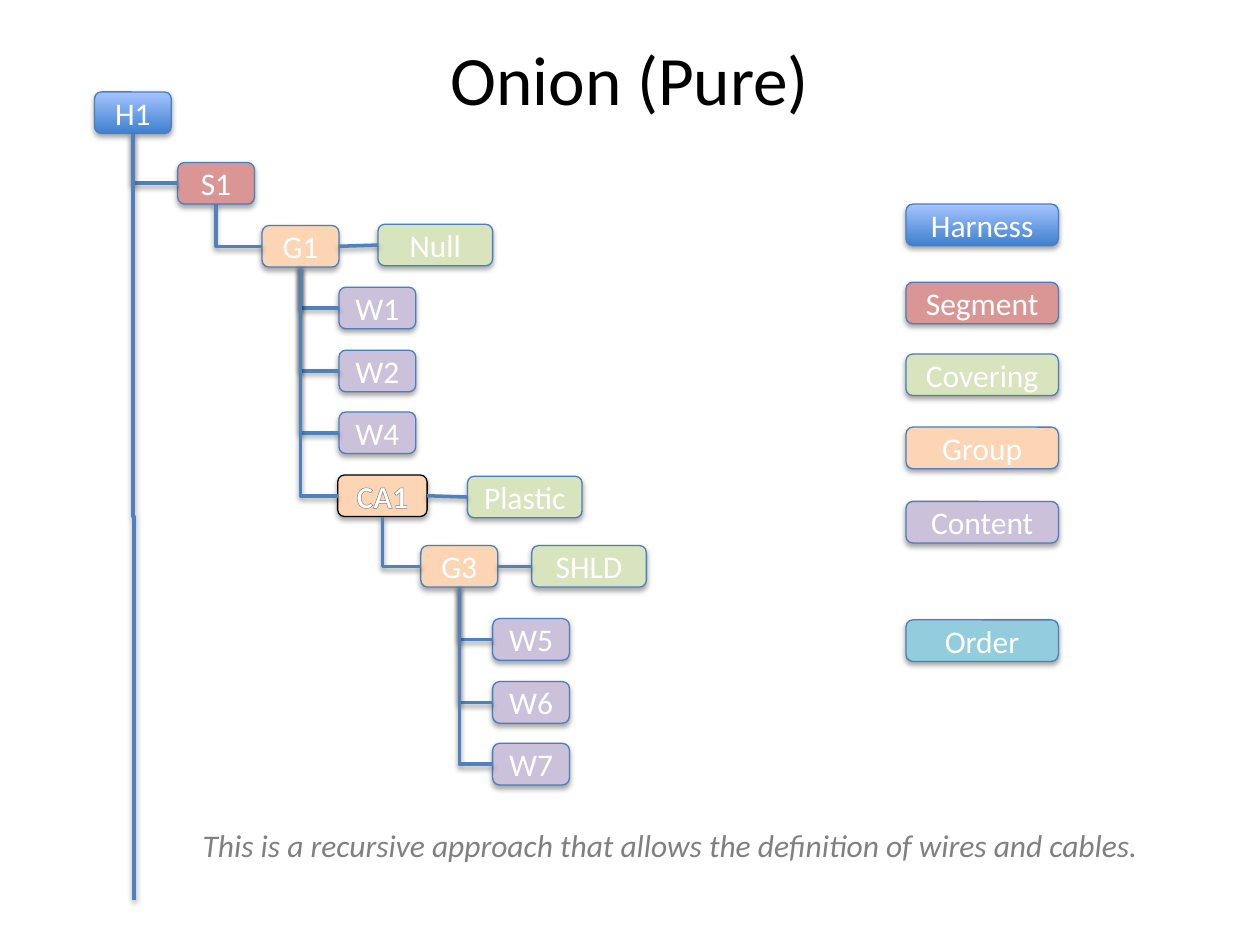
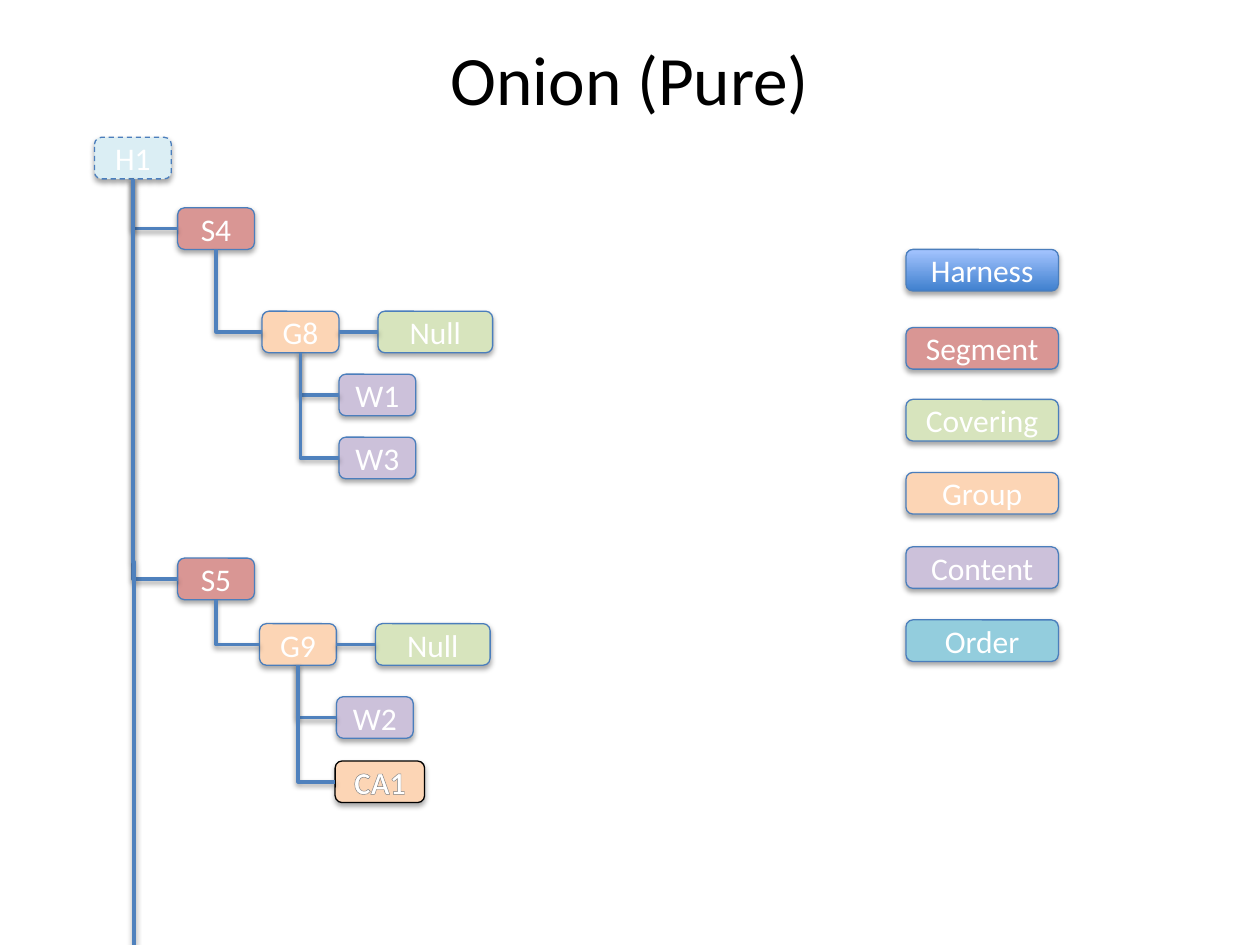
from lxml import etree
from pptx import Presentation
from pptx.dml.color import RGBColor
from pptx.enum.dml import MSO_LINE
from pptx.enum.shapes import MSO_CONNECTOR, MSO_SHAPE
from pptx.enum.text import MSO_ANCHOR, PP_ALIGN
from pptx.oxml import parse_xml
from pptx.oxml.ns import nsdecls, qn
from pptx.util import Inches, Pt

ROUNDED = MSO_SHAPE.ROUNDED_RECTANGLE
STRAIGHT = MSO_CONNECTOR.STRAIGHT
ELBOW = MSO_CONNECTOR.ELBOW
CENTER = PP_ALIGN.CENTER
MIDDLE = MSO_ANCHOR.MIDDLE
DASH = MSO_LINE.DASH
TOP_TO_BOTTOM = 90
LEFT_SIDE, BOTTOM_SIDE, RIGHT_SIDE = 1, 2, 3

FONT = "Calibri"
BLACK, WHITE, GRAY = "000000", "FFFFFF", "808080"
BORDER, LINK = "4B7EBC", "4F81BD"
HARNESS_STOPS = ("3F80CE", "A4C4FF")
FILLS = {
    "segment": "D99694",
    "covering": "D7E4BD",
    "group": "FCD5B5",
    "cable": "FCD5B5",
    "content": "CCC1DA",
    "order": "93CDDD",
    "reference": "DBEEF4",
}
WIDTHS = {"covering": 0.91, "cable": 0.71}
NODE_WIDTH, NODE_HEIGHT, LEGEND_WIDTH = 0.61, 0.33, 1.21
LEGEND_LEFT, ORDER_TOP = 7.19, 4.92
LEGEND = [("Harness", 0), ("Segment", 0.62), ("Covering", 1.19),
          ("Group", 1.77), ("Content", 2.36)]

HARNESS_TREE = [
    ("H1", "harness", 0.75, 0.73, None),
    ("S1", "segment", 1.41, 1.29, "H1"),
    ("G1", "group", 2.08, 1.79, "S1"),
    ("Null", "covering", 3, 1.78, "G1"),
    ("W1", "content", 2.69, 2.28, "G1"),
    ("W2", "content", 2.69, 2.78, "G1"),
    ("W4", "content", 2.69, 3.27, "G1"),
    ("CA1", "cable", 2.68, 3.77, "G1"),
    ("Plastic", "covering", 3.71, 3.78, "CA1"),
    ("G3", "group", 3.34, 4.33, "CA1"),
    ("SHLD", "covering", 4.22, 4.33, "G3"),
    ("W5", "content", 3.91, 4.91, "G3"),
    ("W6", "content", 3.91, 5.41, "G3"),
    ("W7", "content", 3.91, 5.9, "G3"),
]
REFERENCE_TREE = [
    ("H1", "reference", 0.75, 1.09, None),
    ("S4", "segment", 1.41, 1.65, "H1"),
    ("G8", "group", 2.08, 2.47, "S4"),
    ("Null", "covering", 3, 2.47, "G8"),
    ("W1", "content", 2.69, 2.97, "G8"),
    ("W3", "content", 2.69, 3.47, "G8"),
    ("S5", "segment", 1.41, 4.43, "H1"),
    ("G9", "group", 2.06, 4.95, "S5"),
    ("Null", "covering", 2.98, 4.95, "G9"),
    ("W2", "content", 2.67, 5.53, "G9"),
    ("CA1", "cable", 2.66, 6.04, "G9"),
]


def rgb(value):
    return RGBColor.from_string(value)


def add_shadow(sp, opacity, distance):
    effects = etree.SubElement(sp._element.spPr, qn("a:effectLst"))
    shadow = etree.SubElement(effects, qn("a:outerShdw"), blurRad=str(Pt(3.1)),
                              dist=str(Pt(distance)), dir="5400000", rotWithShape="0")
    color = etree.SubElement(shadow, qn("a:srgbClr"), val=BLACK)
    etree.SubElement(color, qn("a:alpha"), val=str(opacity * 1000))


def format_run(r, size, color):
    r.font.name = FONT
    r.font.size = Pt(size)
    r.font.color.rgb = rgb(color)


def outline_run(r):
    r.font.bold = True
    stops = [(0, WHITE), (9, WHITE), (50, "7F7F7F"), (79, WHITE), (100, WHITE)]
    gs = "".join(f'<a:gs pos="{pos * 1000}"><a:srgbClr val="{color}"/></a:gs>'
                 for pos, color in stops)
    rPr = r.font._element
    rPr.remove(rPr.find(qn("a:solidFill")))
    rPr.insert(0, parse_xml(
        f'<a:ln {nsdecls("a")} w="{Pt(0.83)}"><a:solidFill>'
        '<a:srgbClr val="7D7D7D"/></a:solidFill></a:ln>'))
    rPr.insert(1, parse_xml(
        f'<a:gradFill {nsdecls("a")}><a:gsLst>{gs}</a:gsLst>'
        '<a:lin ang="5400000" scaled="0"/></a:gradFill>'))


def add_title(slide, text):
    title = slide.shapes.title
    title.left, title.top = Inches(0.5), Inches(0.3)
    title.width, title.height = Inches(9), Inches(0.63)
    tf = title.text_frame
    tf.text = text
    tf.vertical_anchor = MIDDLE
    p = tf.paragraphs[0]
    p.alignment = CENTER
    format_run(p.runs[0], 39.6, BLACK)


def add_node(slide, text, kind, left, top, width):
    sp = slide.shapes.add_shape(ROUNDED, Inches(left), Inches(top),
                                Inches(width), Inches(NODE_HEIGHT))
    if kind == "harness":
        sp.fill.gradient()
        sp.fill.gradient_angle = TOP_TO_BOTTOM
        for stop, color in zip(sp.fill.gradient_stops, HARNESS_STOPS):
            stop.color.rgb = rgb(color)
    else:
        sp.fill.solid()
        sp.fill.fore_color.rgb = rgb(FILLS[kind])
    sp.line.color.rgb = rgb(BLACK if kind == "cable" else BORDER)
    sp.line.width = Pt(0.75)
    if kind == "reference":
        sp.line.dash_style = DASH
    add_shadow(sp, 35, 1.8)
    tf = sp.text_frame
    tf.text = text
    tf.vertical_anchor = MIDDLE
    p = tf.paragraphs[0]
    p.alignment = CENTER
    format_run(p.runs[0], 18, WHITE)
    if kind == "cable":
        outline_run(p.runs[0])
    return sp


def style_link(link):
    link.line.color.rgb = rgb(LINK)
    link.line.width = Pt(2)
    add_shadow(link, 38, 1.6)


def turn_elbow(link, x1, y1, x2, y2, preset):
    run, drop = x2 - x1, y2 - y1
    link.left, link.top = (x1 + x2 - drop) // 2, (y1 + y2 - run) // 2
    link.width, link.height = drop, run
    spPr = link._element.spPr
    xfrm = spPr.find(qn("a:xfrm"))
    xfrm.set("rot", "16200000")
    xfrm.set("flipH", "1")
    spPr.find(qn("a:prstGeom")).set("prst", preset)


def add_branch(slide, parent, child):
    x1, y1 = parent.left + parent.width // 2, parent.top + parent.height
    x2, y2 = child.left, child.top + child.height // 2
    link = slide.shapes.add_connector(ELBOW, x1, y1, x2, y2)
    link.begin_connect(parent, BOTTOM_SIDE)
    link.end_connect(child, LEFT_SIDE)
    turn_elbow(link, x1, y1, x2, y2, "bentConnector2")
    style_link(link)


def add_covering_link(slide, parent, covering):
    link = slide.shapes.add_connector(STRAIGHT, 0, 0, 0, 0)
    link.begin_connect(parent, RIGHT_SIDE)
    link.end_connect(covering, LEFT_SIDE)
    style_link(link)


def add_trunk(slide, harness):
    x, y = harness.left + harness.width // 2, harness.top + harness.height
    ends = x, y, x + Inches(0.01), y + Inches(6.08)
    trunk = slide.shapes.add_connector(ELBOW, *ends)
    turn_elbow(trunk, *ends, "bentConnector3")
    style_link(trunk)


def add_tree(slide, tree):
    nodes = {}
    links = []
    for text, kind, left, top, parent in tree:
        sp = add_node(slide, text, kind, left, top, WIDTHS.get(kind, NODE_WIDTH))
        nodes[text] = sp
        if parent:
            add_link = add_covering_link if kind == "covering" else add_branch
            links.append((add_link, nodes[parent], sp))
    for add_link, parent, child in links:
        add_link(slide, parent, child)
    add_trunk(slide, nodes["H1"])


def add_legend(slide, top):
    entries = [(text, top + offset) for text, offset in LEGEND]
    for text, entry_top in entries + [("Order", ORDER_TOP)]:
        add_node(slide, text, text.lower(), LEGEND_LEFT, entry_top, LEGEND_WIDTH)


def add_remark(slide, text):
    box = slide.shapes.add_textbox(Inches(1.51), Inches(6.51), Inches(7.89), Inches(0.4))
    tf = box.text_frame
    tf.word_wrap = True
    tf.text = text
    r = tf.paragraphs[0].runs[0]
    format_run(r, 18, GRAY)
    r.font.italic = True


def add_onion_slide(prs, tree, legend_top):
    slide = prs.slides.add_slide(prs.slide_layouts.get_by_name("Title Only"))
    add_title(slide, "Onion (Pure)")
    add_legend(slide, legend_top)
    add_tree(slide, tree)
    return slide


def main():
    prs = Presentation()
    prs.slide_width, prs.slide_height = Inches(10), Inches(7.5)
    slide = add_onion_slide(prs, HARNESS_TREE, 1.62)
    add_remark(slide, "This is a recursive approach that allows the definition "
                      "of wires and cables.")
    add_onion_slide(prs, REFERENCE_TREE, 1.98)
    prs.save("out.pptx")


if __name__ == "__main__":
    main()
